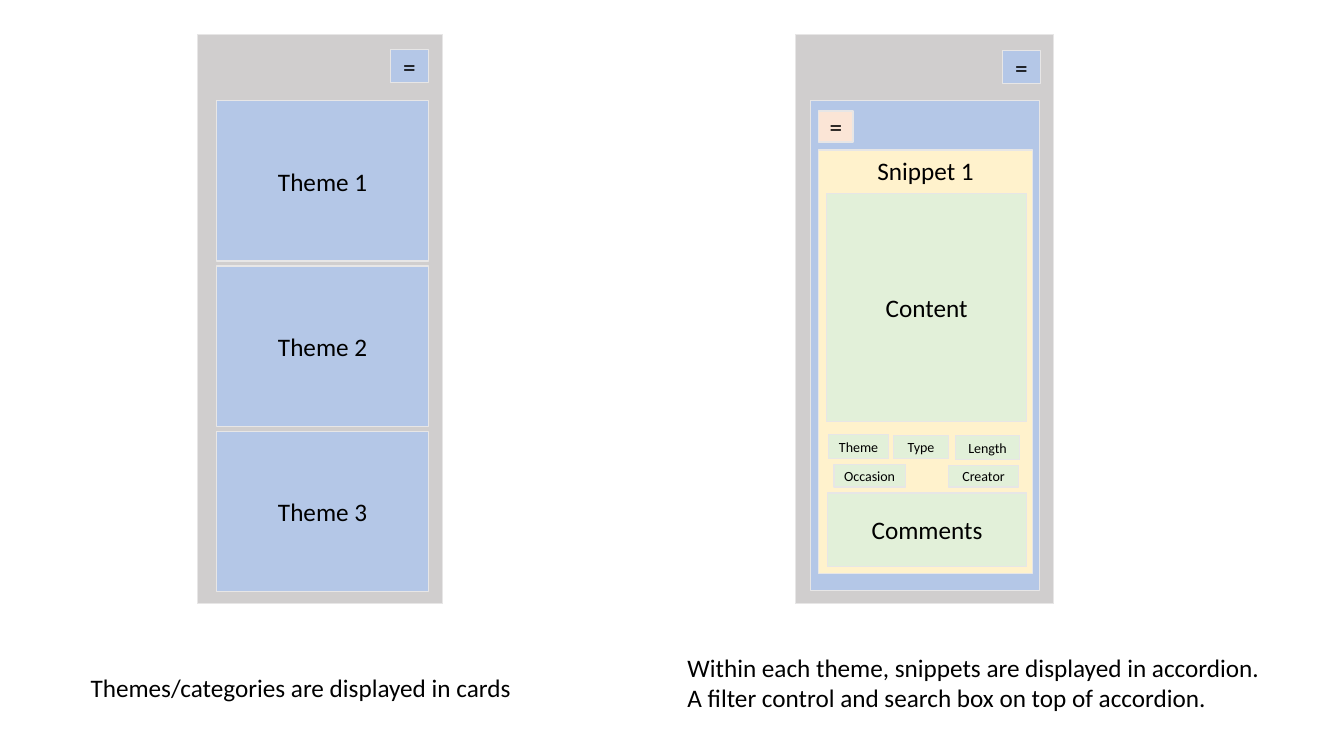
from pptx import Presentation
from pptx.dml.color import RGBColor
from pptx.enum.shapes import MSO_SHAPE
from pptx.enum.text import MSO_ANCHOR, MSO_AUTO_SIZE, PP_ALIGN
from pptx.util import Inches, Pt

BLACK = RGBColor(0x00, 0x00, 0x00)
EDGE = RGBColor(0xE7, 0xE6, 0xE6)
GREY = RGBColor(0xD0, 0xCE, 0xCE)
BLUE = RGBColor(0xB4, 0xC7, 0xE7)
PEACH = RGBColor(0xFB, 0xE5, 0xD6)
CREAM = RGBColor(0xFF, 0xF2, 0xCC)
GREEN = RGBColor(0xE2, 0xF0, 0xD9)


class Wireframe:
    """Draws boxes and captions on one slide in a shared style."""

    font_name = "Calibri"
    box_frame = {"word_wrap": True, "margin_left": 0, "margin_right": 0}
    caption_frame = {"word_wrap": True, "auto_size": MSO_AUTO_SIZE.SHAPE_TO_FIT_TEXT}

    def __init__(self, slide):
        self.slide = slide

    def label(self, frame, text, size, align, layout):
        for name, value in layout.items():
            setattr(frame, name, value)
        paragraph = frame.paragraphs[0]
        paragraph.alignment = align
        run = paragraph.add_run()
        run.text = text
        for name, value in {"name": self.font_name, "size": Pt(size)}.items():
            setattr(run.font, name, value)
        run.font.color.rgb = BLACK

    def box(self, area, fill, text="", size=18, anchor=MSO_ANCHOR.MIDDLE):
        box = self.slide.shapes.add_shape(MSO_SHAPE.RECTANGLE, *map(Inches, area))
        box.shadow.inherit = False
        box.fill.solid()
        box.fill.fore_color.rgb = fill
        box.line.color.rgb = EDGE
        box.line.width = Pt(1)
        if text:
            layout = {**self.box_frame, "vertical_anchor": anchor}
            self.label(box.text_frame, text, size, PP_ALIGN.CENTER, layout)

    def caption(self, area, text):
        caption = self.slide.shapes.add_textbox(*map(Inches, area))
        self.label(caption.text_frame, text, 18, PP_ALIGN.LEFT, self.caption_frame)


deck = Presentation()
deck.slide_width, deck.slide_height = Inches(13.33), Inches(7.5)
wireframe = Wireframe(deck.slides.add_slide(deck.slide_layouts[6]))

wireframe.box((1.96, 0.34, 2.43, 5.65), GREY)
wireframe.box((3.87, 0.49, 0.38, 0.33), BLUE, "=")
for number in range(3):
    wireframe.box((2.15, 1 + number * 1.64, 2.1, 1.59), BLUE, f"Theme {number + 1}")
wireframe.caption((0.8, 6.62, 4.44, 0.4), "Themes/categories are displayed in cards")

wireframe.caption(
    (6.72, 6.42, 5.92, 0.71),
    "Within each theme, snippets are displayed in accordion. "
    "A filter control and search box on top of accordion.",
)
wireframe.box((7.89, 0.34, 2.56, 5.65), GREY)
wireframe.box((9.94, 0.5, 0.38, 0.33), BLUE, "=")
wireframe.box((8.04, 1, 2.27, 4.86), BLUE)
wireframe.box((8.12, 1.1, 0.34, 0.31), PEACH, "=")
wireframe.box((8.12, 1.49, 2.12, 4.2), CREAM, "Snippet 1", anchor=MSO_ANCHOR.TOP)
wireframe.box((8.2, 1.92, 1.98, 2.26), GREEN, "Content")
wireframe.box((8.21, 4.89, 1.97, 0.73), GREEN, "Comments")

TAGS = {
    "Theme": (8.22, 4.31, 0.59, 0.24),
    "Type": (8.86, 4.32, 0.55, 0.23),
    "Length": (9.48, 4.32, 0.63, 0.24),
    "Occasion": (8.27, 4.61, 0.71, 0.22),
    "Creator": (9.41, 4.62, 0.69, 0.21),
}
for tag, area in TAGS.items():
    wireframe.box(area, GREEN, tag, size=10)

deck.save("out.pptx")
